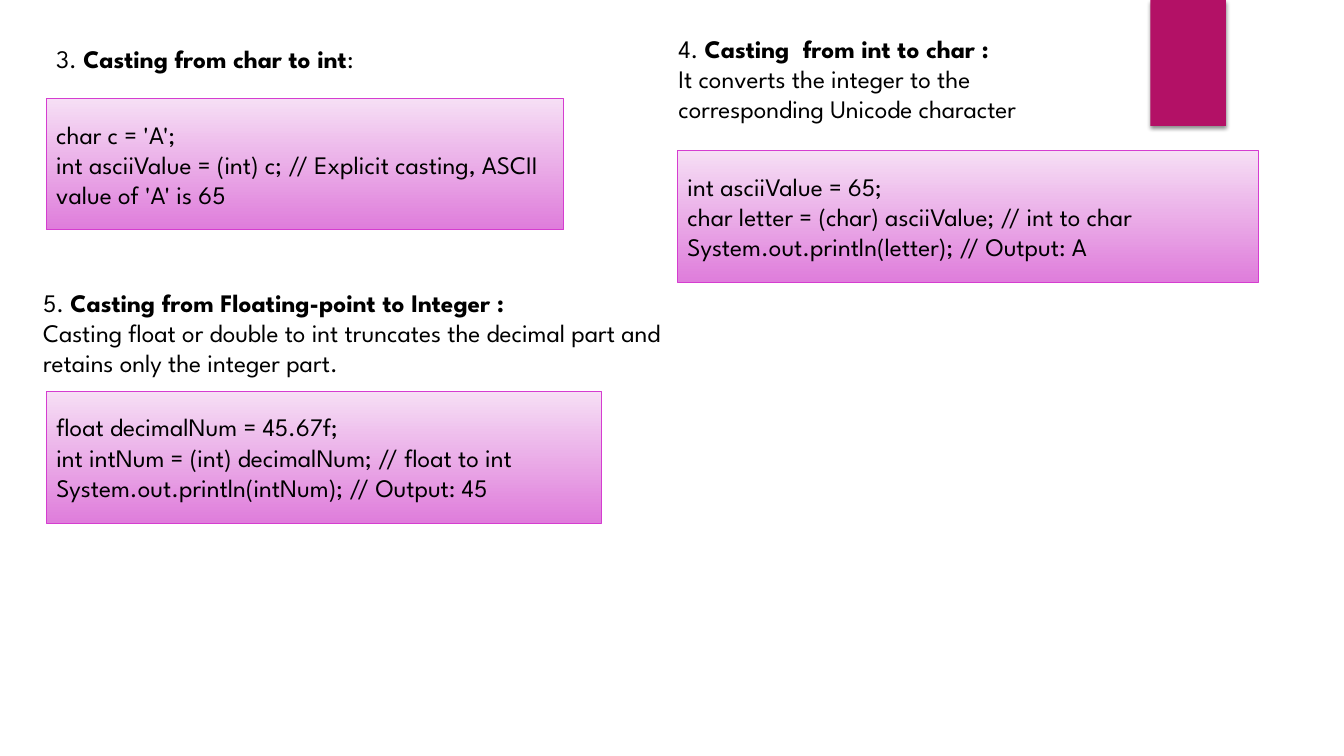
from lxml.etree import SubElement
from pptx import Presentation
from pptx.dml.color import RGBColor
from pptx.enum.shapes import MSO_SHAPE
from pptx.enum.text import MSO_ANCHOR, MSO_AUTO_SIZE, PP_ALIGN
from pptx.oxml.ns import qn
from pptx.util import Inches, Pt

COLORS = {
    "text": "000000",
    "ribbon": "B31166",
    "shadow": "000000",
    "code_top": "F6DFF5",
    "code_bottom": "DF7DDB",
    "code_border": "D53DD0",
}


def rgb(name):
    return RGBColor.from_string(COLORS[name])


class CastingSlide:
    font_name = "League Spartan"
    font_size = Pt(18)

    def __init__(self, slide):
        self.slide = slide

    def rectangle(self, left, top, width, height):
        box = self.slide.shapes.add_shape(
            MSO_SHAPE.RECTANGLE, Inches(left), Inches(top), Inches(width), Inches(height))
        box.shadow.inherit = False
        return box

    def style_run(self, run, bold=False):
        run.font.name = self.font_name
        run.font.size = self.font_size
        run.font.bold = bold
        run.font.color.rgb = rgb("text")

    def ribbon(self, left, top, width, height):
        band = self.rectangle(left, top, width, height)
        band.fill.solid()
        band.fill.fore_color.rgb = rgb("ribbon")
        band.line.fill.background()
        effects = band._element.spPr.find(qn("a:effectLst"))
        shadow = SubElement(effects, qn("a:outerShdw"), blurRad=str(Pt(3)),
                            dist=str(Pt(2)), dir="5400000", rotWithShape="0")
        tint = SubElement(shadow, qn("a:srgbClr"), val=COLORS["shadow"])
        SubElement(tint, qn("a:alpha"), val="45000")

    def heading(self, left, top, width, height, paragraphs):
        """Each paragraph is a list of (text, bold) pairs."""
        label = self.slide.shapes.add_textbox(
            Inches(left), Inches(top), Inches(width), Inches(height))
        frame = label.text_frame
        frame.word_wrap = True
        frame.auto_size = MSO_AUTO_SIZE.SHAPE_TO_FIT_TEXT
        for index, parts in enumerate(paragraphs):
            paragraph = frame.add_paragraph() if index else frame.paragraphs[0]
            for text, bold in parts:
                run = paragraph.add_run()
                run.text = text
                self.style_run(run, bold)

    def code(self, left, top, width, height, lines):
        panel = self.rectangle(left, top, width, height)
        panel.fill.gradient()
        panel.fill.gradient_angle = 270
        for stop, name in zip(panel.fill.gradient_stops, ("code_top", "code_bottom")):
            stop.color.rgb = rgb(name)
        panel.line.color.rgb = rgb("code_border")
        panel.line.width = Pt(0.75)
        frame = panel.text_frame
        frame.word_wrap = True
        frame.vertical_anchor = MSO_ANCHOR.MIDDLE
        frame.text = "\n".join(lines)
        for paragraph in frame.paragraphs:
            paragraph.alignment = PP_ALIGN.LEFT
            for run in paragraph.runs:
                self.style_run(run)


def main():
    deck = Presentation()
    deck.slide_width, deck.slide_height = Inches(13.33), Inches(7.5)
    page = CastingSlide(deck.slides.add_slide(deck.slide_layouts[6]))

    page.ribbon(11.41, 0, 0.75, 1.25)

    page.heading(0.46, 0.38, 3.63, 0.4, [
        [("3. ", False), ("Casting from char to int", True), (":", False)],
    ])
    page.code(0.46, 0.98, 5.13, 1.3, [
        "char c = 'A';",
        "int asciiValue = (int) c; // Explicit casting, ASCII value of 'A' is 65",
    ])

    page.heading(6.63, 0.28, 4.46, 1.01, [
        [("4. ", False), ("Casting  from int to char :", True)],
        [("It converts the integer to the corresponding Unicode character", False)],
    ])
    page.code(6.72, 1.49, 5.76, 1.31, [
        "int asciiValue = 65;",
        "char letter = (char) asciiValue; // int to char",
        "System.out.println(letter); // Output: A",
    ])

    page.heading(0.33, 2.8, 6.67, 1.01, [
        [("5. ", False), ("Casting from Floating-point to Integer :", True)],
        [("Casting float or double to int truncates the decimal part and "
          "retains only the integer part.", False)],
    ])
    page.code(0.46, 3.88, 5.51, 1.31, [
        "float decimalNum = 45.67f;",
        "int intNum = (int) decimalNum; // float to int",
        "System.out.println(intNum); // Output: 45",
    ])

    deck.save("out.pptx")


if __name__ == "__main__":
    main()
